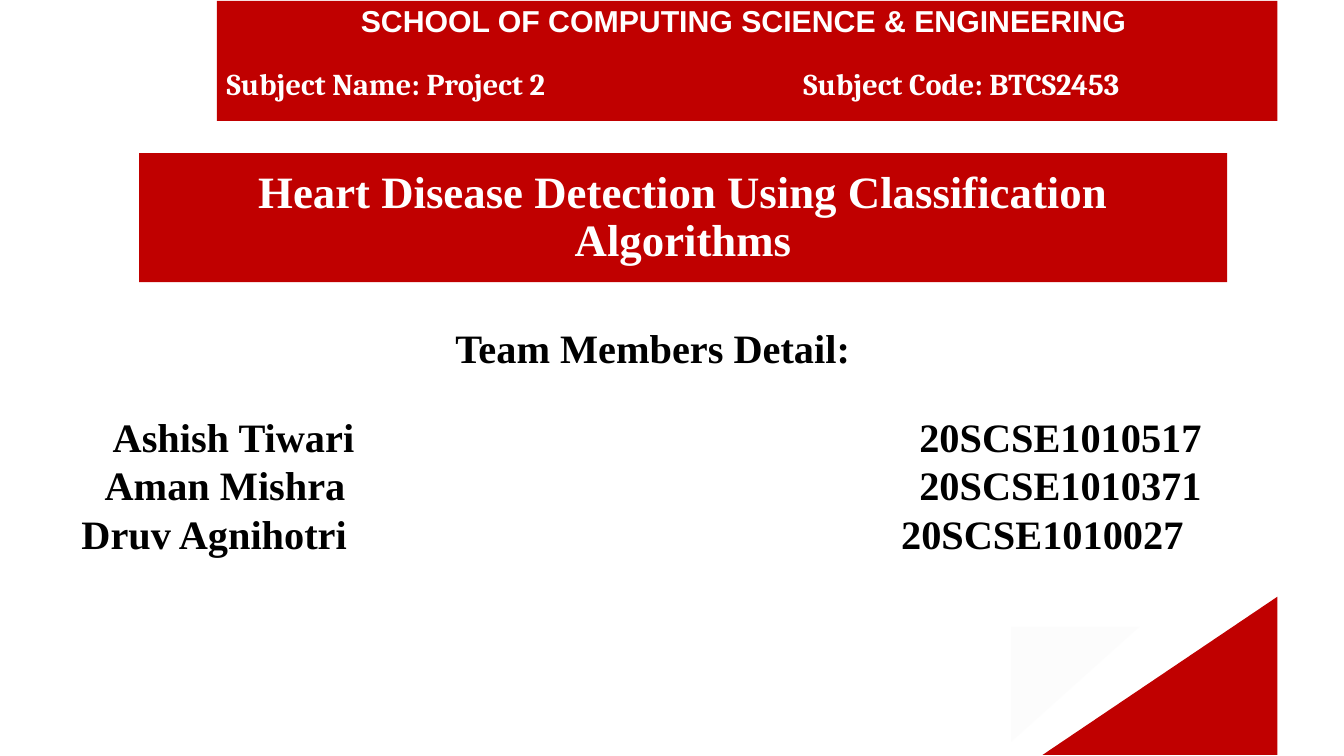
from lxml.etree import SubElement as Sub
from pptx import Presentation
from pptx.dml.color import RGBColor as RGB
from pptx.enum.shapes import MSO_SHAPE as Shape
from pptx.enum.text import MSO_ANCHOR as Anchor, PP_ALIGN as Align
from pptx.oxml.ns import qn
from pptx.util import Inches, Pt

RED = RGB(0xC0, 0, 0)
PALE = RGB(0xF2, 0xF2, 0xF2)
WHITE = RGB(255, 255, 255)
BLACK = RGB(0, 0, 0)
SERIF = "Times New Roman"

# Content: text and, where needed, tab stops in inches
SCHOOL = "SCHOOL OF COMPUTING SCIENCE & ENGINEERING"
SUBJECT = ("Subject Name: Project 2", "Subject Code: BTCS2453")
TITLE = "Heart Disease Detection Using Classification Algorithms"
HEADING = "Team Members Detail:"
TEAM = [
    ("Ashish Tiwari", "20SCSE1010517", (0.36, 8.36)),
    ("Aman Mishra", "20SCSE1010371", (0.28, 8.36)),
    ("Druv Agnihotri", "20SCSE1010027", (0.05, 8.18)),
]

deck = Presentation()
deck.slide_width, deck.slide_height = Inches(13.33), Inches(7.5)
slide = deck.slides.add_slide(deck.slide_layouts[6])


def block(kind, box, fill):
    shape = slide.shapes.add_shape(kind, *map(Inches, box))
    shape.shadow.inherit = False
    shape.fill.solid()
    shape.fill.fore_color.rgb = fill
    shape.line.fill.background()
    return shape


def write(para, text, size, face, color, space, before=0, tabs=(), align=Align.LEFT):
    para.text = text
    para.alignment = align
    para.line_spacing = space
    para.space_before = Pt(before)
    if tabs:
        stops = Sub(para._p.get_or_add_pPr(), qn("a:tabLst"))
        for tab in tabs:
            Sub(stops, qn("a:tab"), pos=str(Inches(tab)), algn="l")
    font = para.font
    font.name, font.size, font.bold = face, Pt(size), True
    font.color.rgb = color


def frame(shape, anchor=Anchor.TOP):
    text = shape.text_frame
    text.word_wrap = True
    text.vertical_anchor = anchor
    return text


# Corner triangles
pale = block(Shape.RIGHT_TRIANGLE, (10.03, 6.22, 1.27, 1.14), PALE)
pale._element.spPr.xfrm.set("flipV", "1")
tint = pale._element.spPr.find(".//" + qn("a:srgbClr"))
Sub(tint, qn("a:alpha"), val="17000")
corner = block(Shape.RIGHT_TRIANGLE, (10.34, 5.92, 2.33, 1.57), RED)
corner._element.spPr.xfrm.set("flipH", "1")

# Title band
title = frame(block(Shape.RECTANGLE, (1.38, 1.52, 10.79, 1.28), RED), Anchor.MIDDLE)
write(title.paragraphs[0], TITLE, 32, SERIF, WHITE, 0.9, align=Align.CENTER)

# Team list
team = frame(slide.shapes.add_textbox(*map(Inches, (0.66, 3.16, 11.63, 2.44))))
write(team.paragraphs[0], HEADING, 28.8, SERIF, BLACK, Pt(34.5), align=Align.CENTER)
for row, (name, code, tabs) in enumerate(TEAM):
    write(team.add_paragraph(), f"\t{name}\t{code}", 28.8, SERIF, BLACK,
          Pt(34.5), before=0 if row else 29, tabs=tabs)

# School band
school = frame(block(Shape.RECTANGLE, (2.15, 0.01, 10.52, 1.19), RED))
write(school.paragraphs[0], "\t" + SCHOOL, 21.6, "Arial", WHITE, 0.9, tabs=(1.33,))
write(school.add_paragraph(), "\t".join(SUBJECT), 21.6, "Cambria", WHITE, 0.9,
      before=22.3, tabs=(5.72,))

deck.save("out.pptx")
